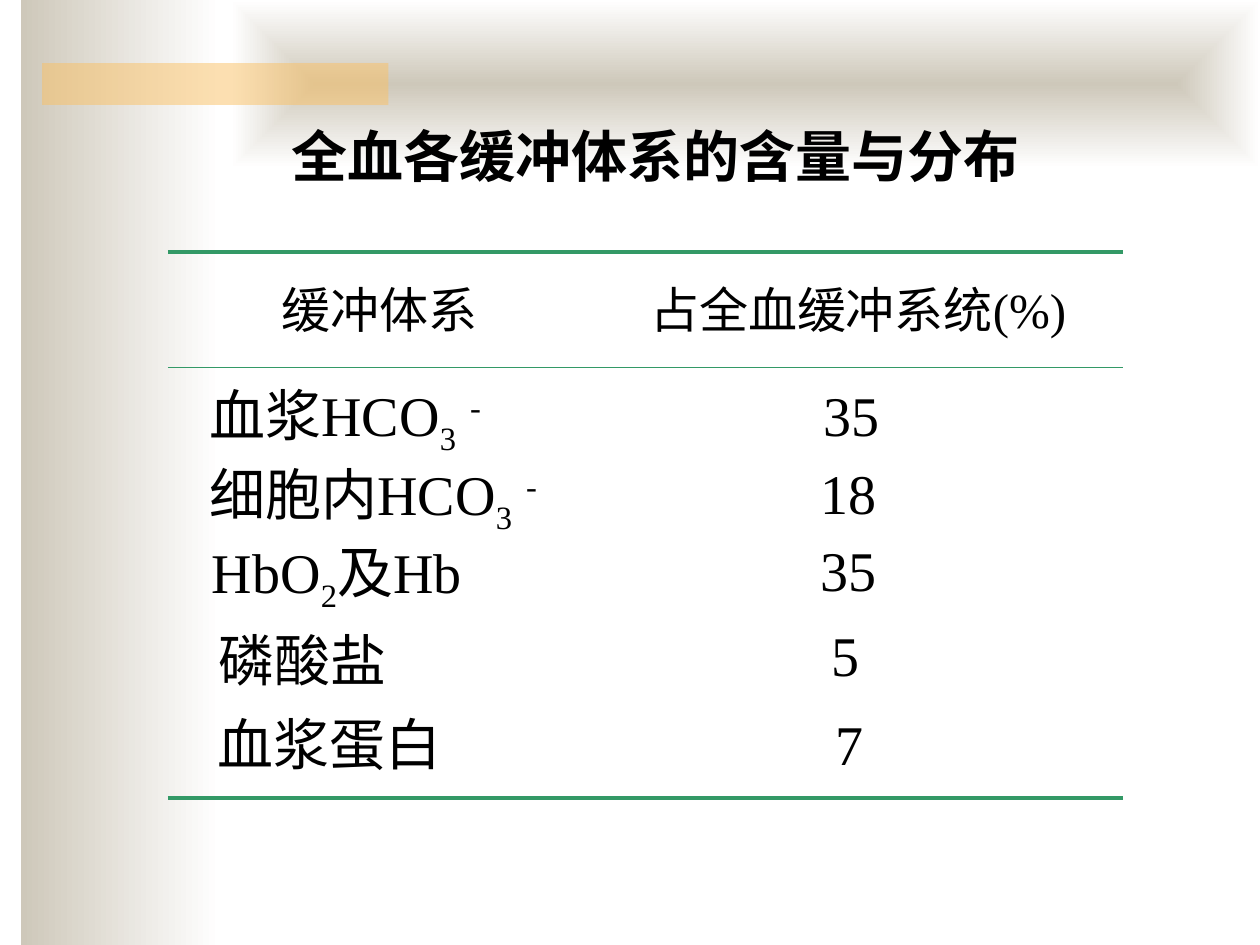
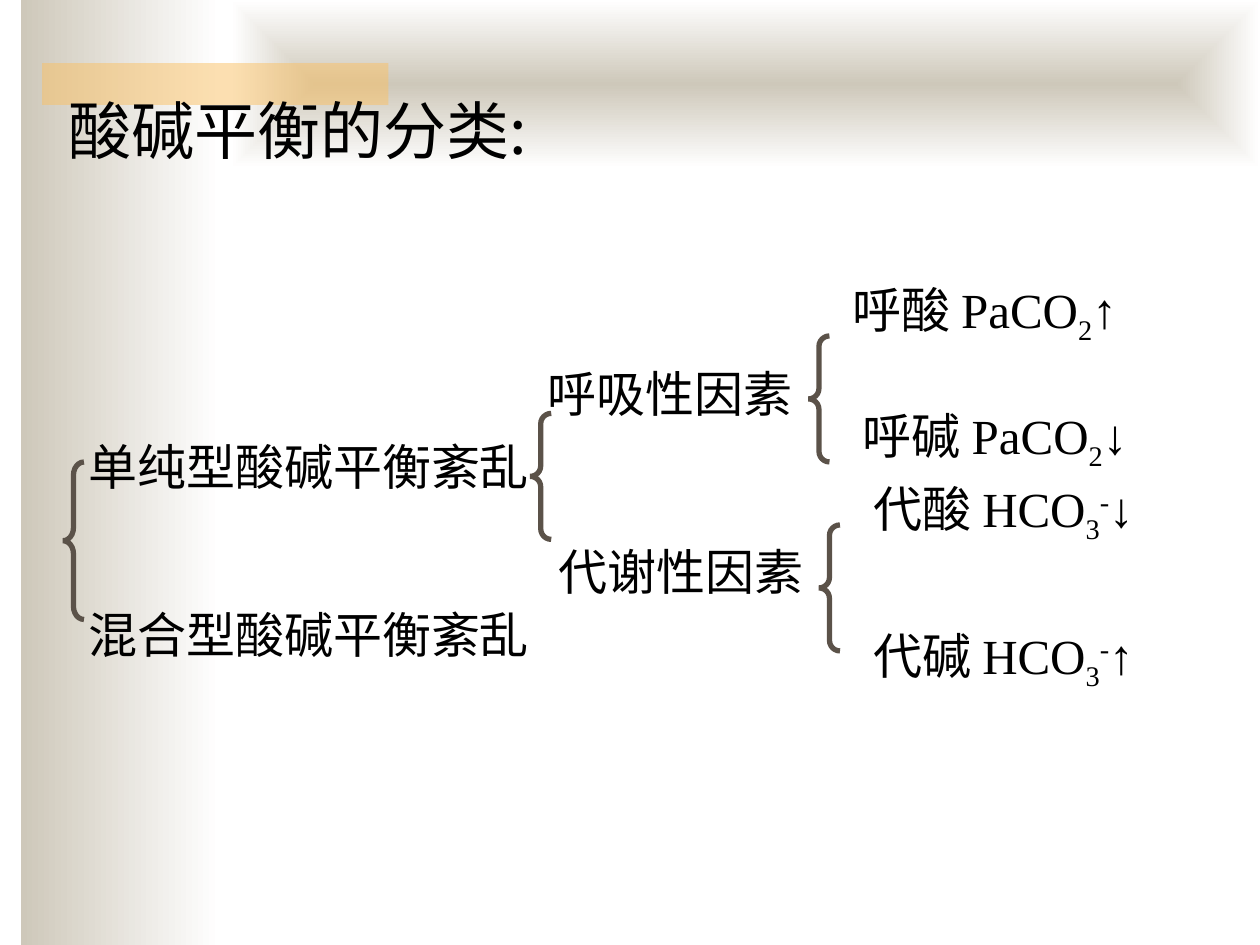
import pptx
import pptx.dml.color
import pptx.enum.shapes
import pptx.enum.text
import pptx.oxml
import pptx.oxml.ns
import pptx.util

PX = 9525  # EMU per px, 96 px to the inch
COLORS = {
    "sand": "CEC8BA", "white": "FFFFFF", "amber": "FAC164",
    "ink": "000000", "rule": "339966", "brace": "5B5249",
}
LATIN, CHINESE = "Times New Roman", "Noto Sans CJK SC"
SUB, SUPER = -25000, 30000
SHAPES = pptx.enum.shapes.MSO_SHAPE
ALIGN = pptx.enum.text.PP_ALIGN


def px(value):
    return pptx.util.Emu(value * PX)


def rgb(name):
    return pptx.dml.color.RGBColor.from_string(COLORS[name])


def add_xml(parent, tag, **attributes):
    child = pptx.oxml.parse_xml(f"<a:{tag} {pptx.oxml.ns.nsdecls('a')}/>")
    for key, value in attributes.items():
        child.set(key, str(value))
    parent.append(child)
    return child


class Deck:
    def __init__(self):
        self.presentation = pptx.Presentation()
        self.presentation.slide_width = px(960)
        self.presentation.slide_height = px(720)
        self.slide = None

    def new_slide(self):
        """Add a blank slide with the shared bands."""
        self.slide = self.presentation.slides.add_slide(self.presentation.slide_layouts[6])
        self.gradient_band(16, 0, 152, 720)
        self.gradient_band(176, 0, 784, 128, from_center=True)
        accent = self.shape(SHAPES.RECTANGLE, 32, 48, 264, 32)
        accent.fill.solid()
        accent.fill.fore_color.rgb = rgb("amber")
        color = accent._element.spPr.find(".//" + pptx.oxml.ns.qn("a:srgbClr"))
        add_xml(color, "alpha", val=50000)

    def shape(self, kind, left, top, width, height):
        shape = self.slide.shapes.add_shape(kind, px(left), px(top), px(width), px(height))
        shape.shadow.inherit = False
        shape.line.fill.background()
        return shape

    def gradient_band(self, left, top, width, height, from_center=False):
        band = self.shape(SHAPES.RECTANGLE, left, top, width, height)
        band.fill.gradient()
        band.fill.gradient_angle = 0
        for stop, name in zip(band.fill.gradient_stops, ("sand", "white")):
            stop.color.rgb = rgb(name)
        if from_center:
            linear = band._element.spPr.find(".//" + pptx.oxml.ns.qn("a:lin"))
            gradient = linear.getparent()
            gradient.remove(linear)
            rectangle = add_xml(gradient, "path", path="rect")
            add_xml(rectangle, "fillToRect", l=50000, t=50000, r=50000, b=50000)

    def brace(self, left, top, height, curve=0.5):
        brace = self.shape(SHAPES.LEFT_BRACE, left, top, 16, height)
        brace.adjustments[0] = curve
        brace.fill.background()
        brace.line.color.rgb = rgb("brace")
        brace.line.width = pptx.util.Pt(3)
        add_xml(brace._element.spPr.find(pptx.oxml.ns.qn("a:ln")), "miter", lim=800000)

    def rule(self, top, weight):
        """Draw a horizontal line across the table."""
        line = self.slide.shapes.add_connector(
            pptx.enum.shapes.MSO_CONNECTOR.STRAIGHT, px(128), px(top), px(856), px(top))
        line.line.color.rgb = rgb("rule")
        line.line.width = pptx.util.Pt(weight)
        add_xml(line._element.spPr, "effectLst")

    def text(self, content, left, top, width, height=55, *, size=28, font=LATIN,
             bold=False, align=ALIGN.LEFT):
        """Write a string, or a list of strings and (string, baseline) pairs."""
        box = self.slide.shapes.add_textbox(px(left), px(top), px(width), px(height))
        frame = box.text_frame
        frame.word_wrap = True
        frame.auto_size = pptx.enum.text.MSO_AUTO_SIZE.SHAPE_TO_FIT_TEXT
        paragraph = frame.paragraphs[0]
        paragraph.alignment = align
        for piece in [content] if isinstance(content, str) else content:
            words, baseline = (piece, 0) if isinstance(piece, str) else piece
            run = paragraph.add_run()
            run.text = words
            run.font.size = pptx.util.Pt(size)
            run.font.bold = bold
            run.font.name = font
            run.font.color.rgb = rgb("ink")
            properties = run.font._element
            add_xml(properties, "ea", typeface=CHINESE)
            if baseline:
                properties.set("baseline", str(baseline))


def build_content_slide(deck):
    deck.new_slide()
    deck.text("全血各缓冲体系的含量与分布", 203, 88, 594, 61,
              size=32, font=CHINESE, bold=True, align=ALIGN.CENTER)

    # Table rules and header
    for top, weight in ((192, 2), (280, 0.75), (608, 2)):
        deck.rule(top, weight)
    deck.text("缓冲体系", 205, 208, 180)
    deck.text("占全血缓冲系统(%)", 486, 208, 360)

    # Rows: name with left, top, width; share with left, top, width
    bicarbonate = ["HCO", ("3", SUB), " ", ("-", SUPER)]
    rows = [
        (["血浆", *bicarbonate], (150, 285, 260), "35", (618, 285, 70)),
        (["细胞内", *bicarbonate], (150, 345, 300), "18", (616, 345, 70)),
        (["HbO", ("2", SUB), "及Hb"], (152, 405, 250), "35", (616, 403, 70)),
        ("磷酸盐", (157, 472, 160), "5", (624, 468, 50)),
        ("血浆蛋白", (156, 536, 200), "7", (627, 536, 50)),
    ]
    for name, name_place, share, share_place in rows:
        deck.text(name, *name_place, 61 if isinstance(name, str) else 68, size=32)
        deck.text(share, *share_place, 61, size=32)


def build_classification_slide(deck):
    deck.new_slide()
    deck.text("酸碱平衡的分类:", 43, 65, 405, 67, size=36, font=CHINESE)

    # Types of disorder
    deck.text("单纯型酸碱平衡紊乱", 58, 328, 365)
    deck.text("混合型酸碱平衡紊乱", 58, 456, 365)

    # Factors
    deck.text("呼吸性因素", 408, 272, 210)
    deck.text("代谢性因素", 416, 408, 210)

    # Disorders with their markers
    carbon_dioxide = ["PaCO", ("2", SUB)]
    bicarbonate = ["HCO", ("3", SUB), ("-", SUPER)]
    disorders = [
        ("呼酸", carbon_dioxide, "↑", 640, 208, 248),
        ("呼碱", carbon_dioxide, "↓", 648, 304, 264),
        ("代酸", bicarbonate, "↓", 656, 360, 304),
        ("代碱", bicarbonate, "↑", 656, 472, 256),
    ]
    for name, (marker, *scripts), arrow, left, top, width in disorders:
        deck.text([f"{name} {marker}", *scripts, arrow], left, top, width, 60)

    # Braces
    deck.brace(48, 352, 120, curve=0.62)
    for left, top in ((404, 315), (616, 256), (624, 400)):
        deck.brace(left, top, 96)


def main():
    deck = Deck()
    build_content_slide(deck)
    build_classification_slide(deck)
    deck.presentation.save("out.pptx")


if __name__ == "__main__":
    main()
